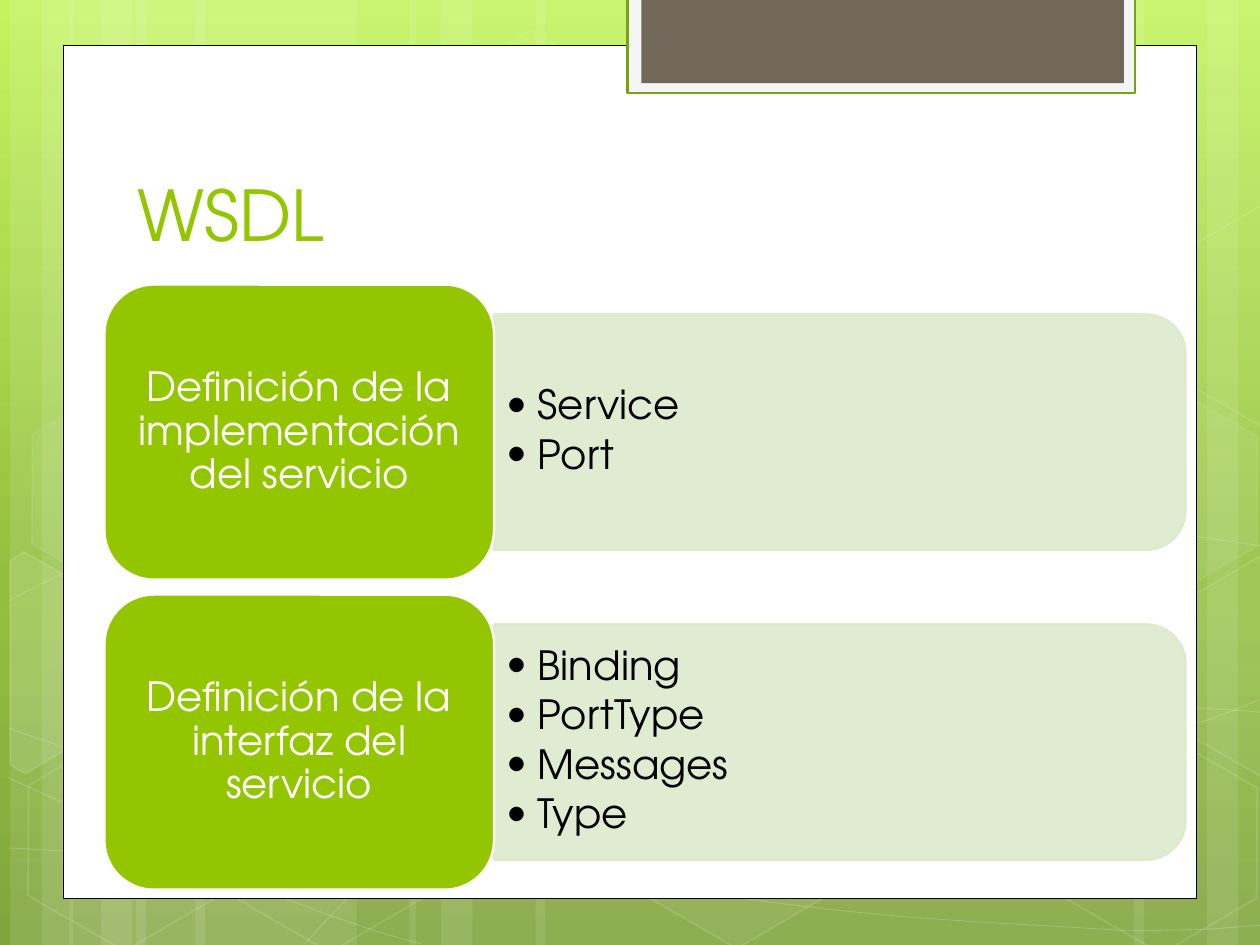
from lxml import etree
from pptx import Presentation
from pptx.dml.color import RGBColor
from pptx.enum import shapes, text
from pptx.oxml import ns
from pptx.util import Inches, Pt

KIND = shapes.MSO_SHAPE
FONT = "TeX Gyre Adventor"
COLORS = {
    "white": "FFFFFF", "black": "000000", "green": "94C600", "pale": "DCEACC",
    "tab": "F5F5F5", "tab_line": "74A510", "brown": "71685A",
}
BACKDROP = [(0, "C3F35F"), (62, "93BF3F"), (100, "81A53E")]

TITLE = "WSDL"
SECTIONS = [
    ("Definición de la implementación del servicio", ["Service", "Port"]),
    ("Definición de la interfaz del servicio",
     ["Binding", "PortType", "Messages", "Type"]),
]

# Full-height light bands: left, width
BANDS = [
    (1.08, 1.75), (0.08, 0.5), (0.33, 0.83), (1.55, 1.75), (0.55, 0.5),
    (0.8, 0.83), (7.33, 1.75), (9.58, 0.5), (9, 0.83), (4.25, 3.08),
    (3.25, 0.5), (3.5, 0.83),
]
# Hexagons: left, top, fill opacity (0 for none), line opacity
HEXAGONS = [
    (3.34, 0.36, 4, 8), (4.97, 5.89, 6, 12), (0.11, 5.91, 0, 12),
    (0.14, 3.12, 7, 8), (1.74, 5.92, 0, 12), (7.53, 4.53, 10, 12),
    (8.34, 5.93, 0, 12), (8.34, 3.14, 7, 8),
]
# Hexagons cut off by the slide edge: corners, fill opacity
CUT_HEXAGONS = [
    ([(0.08, 4.45), (0.19, 4.38), (0.96, 4.82), (0.95, 5.7), (0.2, 6.14),
      (0.08, 6.07)], 10),
    ([(9.26, 4.85), (10.01, 4.41), (10.09, 4.46), (10.09, 6.13),
      (10.02, 6.17), (9.26, 5.73)], 4),
    ([(9.26, 2.07), (10.01, 1.63), (10.1, 1.68), (10.09, 3.35),
      (10.02, 3.39), (9.26, 2.95)], 0),
]
# Bezier chains: start, then two handles and an end for each stretch
WAVES = [
    [(0.07, 6.73), (0.61, 6.76), (1.15, 6.79), (1.9, 6.78), (2.65, 6.77),
     (3.58, 6.75), (4.58, 6.65), (5.58, 6.55), (7, 6.36), (7.92, 6.17),
     (8.83, 5.98), (9.77, 5.68), (10.07, 5.51)],
    [(0.07, 4.77), (0.36, 4.61), (0.65, 4.46), (1.21, 4.31), (1.78, 4.16),
     (2.59, 3.94), (3.47, 3.87), (4.36, 3.8), (5.44, 3.79), (6.54, 3.87),
     (7.64, 3.95), (9.47, 4.26), (10.07, 4.34)],
    [(0.06, 6.17), (1.27, 6.72), (2.47, 7.27), (3.34, 7.49)],
    [(0.07, 5.78), (0.38, 5.89), (0.7, 6), (1.28, 6.16), (1.86, 6.31),
     (2.73, 6.56), (3.57, 6.73), (4.4, 6.9), (5.45, 7.08), (6.28, 7.18),
     (7.11, 7.29), (8, 7.33), (8.53, 7.36), (9.05, 7.4), (9.19, 7.38),
     (9.45, 7.38), (9.71, 7.37), (9.89, 7.35), (10.07, 7.34)],
    [(2.42, 7.49), (2.6, 7.29), (2.78, 7.09), (3.02, 6.91), (3.26, 6.73),
     (3.6, 6.53), (3.88, 6.39), (4.16, 6.25), (4.33, 6.19), (4.7, 6.09),
     (5.06, 5.99), (5.73, 5.85), (6.08, 5.78), (6.44, 5.71), (6.49, 5.71),
     (6.8, 5.69), (7.11, 5.66), (7.6, 5.63), (7.94, 5.62), (8.29, 5.61),
     (8.86, 5.62), (8.86, 5.62), (9.08, 5.62), (9.31, 5.62), (9.53, 5.62),
     (9.71, 5.63), (9.88, 5.64), (9.97, 5.65), (10.06, 5.66), (10.03, 5.65),
     (10.06, 5.66)],
]


def paint(fill, color, opacity=100):
    fill.solid()
    fill.fore_color.rgb = RGBColor.from_string(COLORS[color])
    if opacity < 100:
        tint = fill._xPr.find(ns.qn("a:solidFill"))[0]
        etree.SubElement(tint, ns.qn("a:alpha"), val=str(opacity * 1000))


def style(shape, fill=None, line=None, width=1.0, fill_opacity=100, line_opacity=100):
    shape.shadow.inherit = False
    if fill and fill_opacity:
        paint(shape.fill, fill, fill_opacity)
    else:
        shape.fill.background()
    if line:
        paint(shape.line.fill, line, line_opacity)
        shape.line.width = Pt(width)
    else:
        shape.line.fill.background()


def add_shape(page, kind, place, **look):
    shape = page.shapes.add_shape(kind, *map(Inches, place))
    style(shape, **look)
    return shape


def add_outline(page, points, closed, **look):
    start, *rest = [(Inches(x), Inches(y)) for x, y in points]
    builder = page.shapes.build_freeform(*start)
    builder.add_line_segments(rest, close=closed)
    outline = builder.convert_to_shape()
    style(outline, line="white", **look)
    return outline


def bend(outline):
    """Join each three straight segments into one Bezier curve."""
    segments = list(outline._element.iter(ns.qn("a:lnTo")))
    for i in range(0, len(segments), 3):
        curve = etree.Element(ns.qn("a:cubicBezTo"))
        segments[i].addprevious(curve)
        for segment in segments[i:i + 3]:
            curve.append(segment[0])
            segment.getparent().remove(segment)


def write(shape, lines, size, color, anchor, align, spacing=1.0, after=0, bullet=False):
    frame = shape.text_frame
    frame.word_wrap = True
    frame.vertical_anchor = anchor
    frame.text = "\n".join(lines)
    for para in frame.paragraphs:
        para.alignment = align
        para.line_spacing = spacing
        para.space_after = Pt(after)
        para.font.size = Pt(size)
        para.font.name = FONT
        para.font.color.rgb = RGBColor.from_string(COLORS[color])
        if bullet:
            props = para._p.get_or_add_pPr()
            props.set("marL", str(Inches(0.25)))
            props.set("indent", str(-Inches(0.25)))
            defaults = props.find(ns.qn("a:defRPr"))
            defaults.addprevious(etree.Element(ns.qn("a:buFont"), typeface=FONT))
            defaults.addprevious(etree.Element(ns.qn("a:buChar"), char="•"))


def add_backdrop(page):
    fill = page.background.fill
    fill.gradient()
    fill.gradient_angle = 270
    stops = fill._fill._gradFill.find(ns.qn("a:gsLst"))
    for stop in list(stops):
        stops.remove(stop)
    for position, color in BACKDROP:
        stop = etree.SubElement(stops, ns.qn("a:gs"), pos=str(position * 1000))
        etree.SubElement(stop, ns.qn("a:srgbClr"), val=color)

    for left, width in BANDS:
        add_shape(page, KIND.RECTANGLE, (left, 0, width, 7.5),
                  fill="white", fill_opacity=10)
    for chain in WAVES:
        bend(add_outline(page, chain, False, width=0.5, line_opacity=20))
    for left, top, fill_opacity, line_opacity in HEXAGONS:
        hexagon = add_shape(page, KIND.HEXAGON, (left, top, 1.75, 1.52),
                            fill="white", line="white",
                            fill_opacity=fill_opacity, line_opacity=line_opacity)
        hexagon.adjustments[0] = 0.285
        hexagon.rotation = 30
    for corners, opacity in CUT_HEXAGONS:
        add_outline(page, corners, True, fill="white", fill_opacity=opacity,
                    line_opacity=12)


def add_section(page, top, heading, items):
    height, panel_width, panel_height = 2.34, 5.49, 1.87
    middle = top + height / 2
    # The panel stands upright and is turned so its round corners face right.
    panel = add_shape(page, KIND.ROUND_2_SAME_RECTANGLE,
                      (3.92 + (panel_width - panel_height) / 2,
                       middle - panel_width / 2, panel_height, panel_width),
                      fill="pale", line="pale", width=1.25,
                      fill_opacity=90, line_opacity=90)
    panel.rotation = 90
    box = page.shapes.add_textbox(*map(Inches, (3.92, middle - 0.85, 5.4, 1.69)))
    write(box, items, 23, "black", text.MSO_ANCHOR.MIDDLE, text.PP_ALIGN.LEFT,
          spacing=0.9, after=3.45, bullet=True)
    label = add_shape(page, KIND.ROUNDED_RECTANGLE, (0.83, top, 3.09, height),
                      fill="green", line="white", width=1.25)
    write(label, [heading], 23, "white", text.MSO_ANCHOR.MIDDLE,
          text.PP_ALIGN.CENTER, spacing=0.9, after=8.05)


def main():
    deck = Presentation()
    deck.slide_width, deck.slide_height = Inches(10), Inches(7.5)
    page = deck.slides.add_slide(deck.slide_layouts[6])
    add_backdrop(page)
    add_shape(page, KIND.RECTANGLE, (0.5, 0.36, 9, 6.77),
              fill="white", line="black", width=0.5)
    add_shape(page, KIND.RECTANGLE, (4.98, -0.02, 4.03, 0.76),
              fill="tab", line="tab_line", width=1.25)
    add_shape(page, KIND.RECTANGLE, (5.09, -0.02, 3.83, 0.68), fill="brown")
    title = page.shapes.add_textbox(*map(Inches, (0.99, 0.83, 7.68, 1.25)))
    write(title, [TITLE], 40, "green", text.MSO_ANCHOR.BOTTOM, text.PP_ALIGN.LEFT)
    for row, (heading, items) in enumerate(SECTIONS):
        add_section(page, 2.26 + row * 2.46, heading, items)
    deck.save("out.pptx")


if __name__ == "__main__":
    main()
